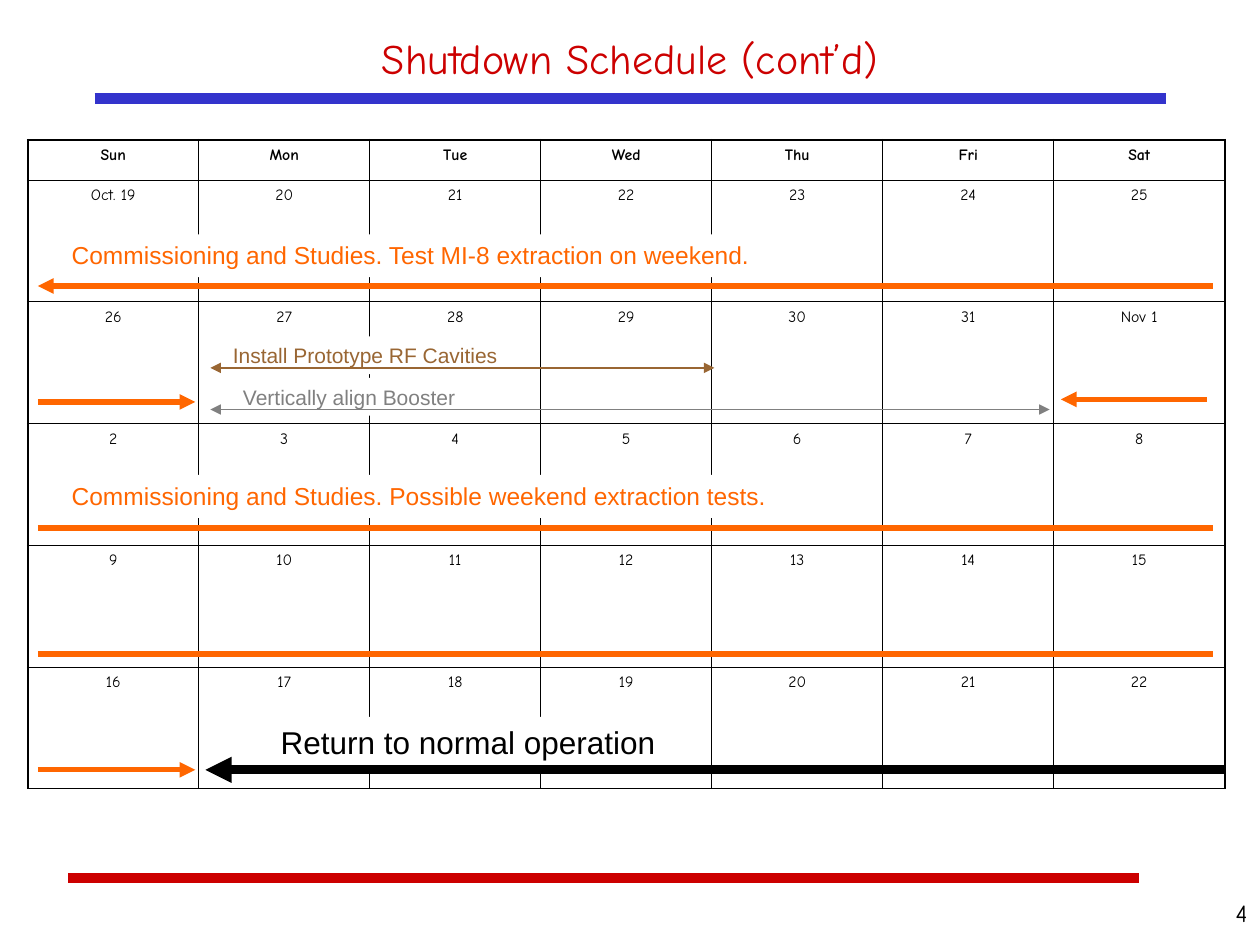
from pptx import Presentation
from pptx.dml.color import RGBColor
from pptx.enum.shapes import MSO_CONNECTOR
from pptx.enum.text import MSO_ANCHOR, MSO_AUTO_SIZE as AUTO, PP_ALIGN
from pptx.oxml.ns import qn
from pptx.util import Inches, Pt
from lxml.etree import SubElement

BLACK = RGBColor(0x00, 0x00, 0x00)
WHITE = RGBColor(0xFF, 0xFF, 0xFF)
RED = RGBColor(0xCC, 0x00, 0x00)
BLUE = RGBColor(0x33, 0x33, 0xCC)
ORANGE = RGBColor(0xFF, 0x66, 0x00)
BROWN = RGBColor(0x99, 0x66, 0x33)
GRAY = RGBColor(0x80, 0x80, 0x80)
SANS, HAND = "Arial", "Comic Neue"


def add_text(box, text, align, wrap=True, auto=AUTO.NONE, anchor=MSO_ANCHOR.TOP, **font):
    sp = slide.shapes.add_textbox(*[Inches(v) for v in box])
    tf = sp.text_frame
    tf.word_wrap, tf.auto_size, tf.vertical_anchor = wrap, auto, anchor
    p = tf.paragraphs[0]
    p.alignment = align
    r = p.add_run()
    r.text = text
    r.font.color.rgb = font.pop("color")
    for name, value in font.items():
        setattr(r.font, name, value)
    return sp


def add_line(x1, x2, y, color, width, ends=()):
    cx = slide.shapes.add_connector(
        MSO_CONNECTOR.STRAIGHT, Inches(x1), Inches(y), Inches(x2), Inches(y))
    cx.line.color.rgb = color
    cx.line.width = Pt(width)
    for end in ends:
        SubElement(cx.line._get_or_add_ln(), qn(f"a:{end}End"), type="triangle")
    SubElement(cx._element.spPr, qn("a:effectLst"))


prs = Presentation()
prs.slide_width, prs.slide_height = Inches(10), Inches(7.5)
slide = prs.slides.add_slide(prs.slide_layouts[6])

# Rules above and below the calendar
add_line(0.54, 9.04, 6.97, RED, 6)
add_line(0.75, 9.25, 0.78, BLUE, 6)

# Calendar: a header row, then five weeks starting Oct. 19
days = [str(d) for d in [*range(19, 32), *range(1, 23)]]
days[0], days[13] = "Oct. 19", "Nov 1"
labels = ["Sun", "Mon", "Tue", "Wed", "Thu", "Fri", "Sat"] + days
COLS, ROWS = 7, 6
table = slide.shapes.add_table(
    ROWS, COLS, Inches(0.22), Inches(1.11), Inches(9.5), Inches(5.15)).table
table.first_row = table.horz_banding = False
for col in table.columns:
    col.width = Inches(9.5 / COLS)
for i, row in enumerate(table.rows):
    row.height = Inches(4.83 / (ROWS - 1) if i else 0.32)

for n, label in enumerate(labels):
    i, j = divmod(n, COLS)
    cell = table.cell(i, j)
    p = cell.text_frame.paragraphs[0]
    p.alignment = PP_ALIGN.CENTER
    r = p.add_run()
    r.text = label
    r.font.color.rgb = BLACK
    for name, value in {"name": HAND, "size": Pt(9), "bold": i == 0}.items():
        setattr(r.font, name, value)
    # Thick outer frame, thin inner grid
    outer = {"L": j == 0, "R": j == COLS - 1, "T": i == 0, "B": i == ROWS - 1}
    tc_pr = cell._tc.get_or_add_tcPr()
    for side, is_outer in outer.items():
        ln = SubElement(tc_pr, qn(f"a:ln{side}"), w=str(Pt(1.08 if is_outer else 0.45)))
        SubElement(SubElement(ln, qn("a:solidFill")), qn("a:srgbClr"), val=str(BLACK))
    cell.fill.background()

# Activity labels, which mask the grid behind them
for box, text, size, color, wrap in [
    ((1.75, 2.67, 2.3, 0.3), "Install Prototype RF Cavities", 12, BROWN, False),
    ((0.47, 1.86, 6.25, 0.34),
     "Commissioning and Studies. Test MI-8 extraction on weekend.", 14, ORANGE, True),
    ((0.47, 3.77, 6.25, 0.34),
     "Commissioning and Studies. Possible weekend extraction tests.", 14, ORANGE, True),
    ((2.13, 5.69, 3.33, 0.4), "Return to normal operation", 18, BLACK, True),
    ((1.83, 3, 1.89, 0.3), "Vertically align Booster", 12, GRAY, False),
]:
    sp = add_text(box, text, PP_ALIGN.LEFT, wrap, AUTO.SHAPE_TO_FIT_TEXT,
                  name=SANS, size=Pt(size), color=color)
    sp.fill.solid()
    sp.fill.fore_color.rgb = WHITE

# Activity spans
for span in [
    (1.67, 5.67, 2.92, BROWN, 0.75, ("head", "tail")),
    (0.3, 9.63, 2.27, ORANGE, 3, ("head",)),
    (0.3, 9.63, 4.19, ORANGE, 3),
    (0.3, 1.55, 3.19, ORANGE, 3, ("tail",)),
    (8.42, 9.58, 3.17, ORANGE, 3, ("head",)),
    (0.3, 9.63, 5.19, ORANGE, 3),
    (0.3, 1.55, 6.11, ORANGE, 3, ("tail",)),
    (1.63, 9.72, 6.11, BLACK, 5, ("head",)),
    (1.67, 8.33, 3.25, GRAY, 0.75, ("head", "tail")),
]:
    add_line(*span)

# Title and page number
add_text((0.75, 0.17, 8.5, 0.58), "Shutdown Schedule (cont’d)", PP_ALIGN.CENTER,
         anchor=MSO_ANCHOR.MIDDLE, name=HAND, size=Pt(24), color=RED)
add_text((9.08, 7.08, 0.92, 0.42), "4", PP_ALIGN.RIGHT,
         name=HAND, size=Pt(14), color=BLACK)

prs.save("out.pptx")
